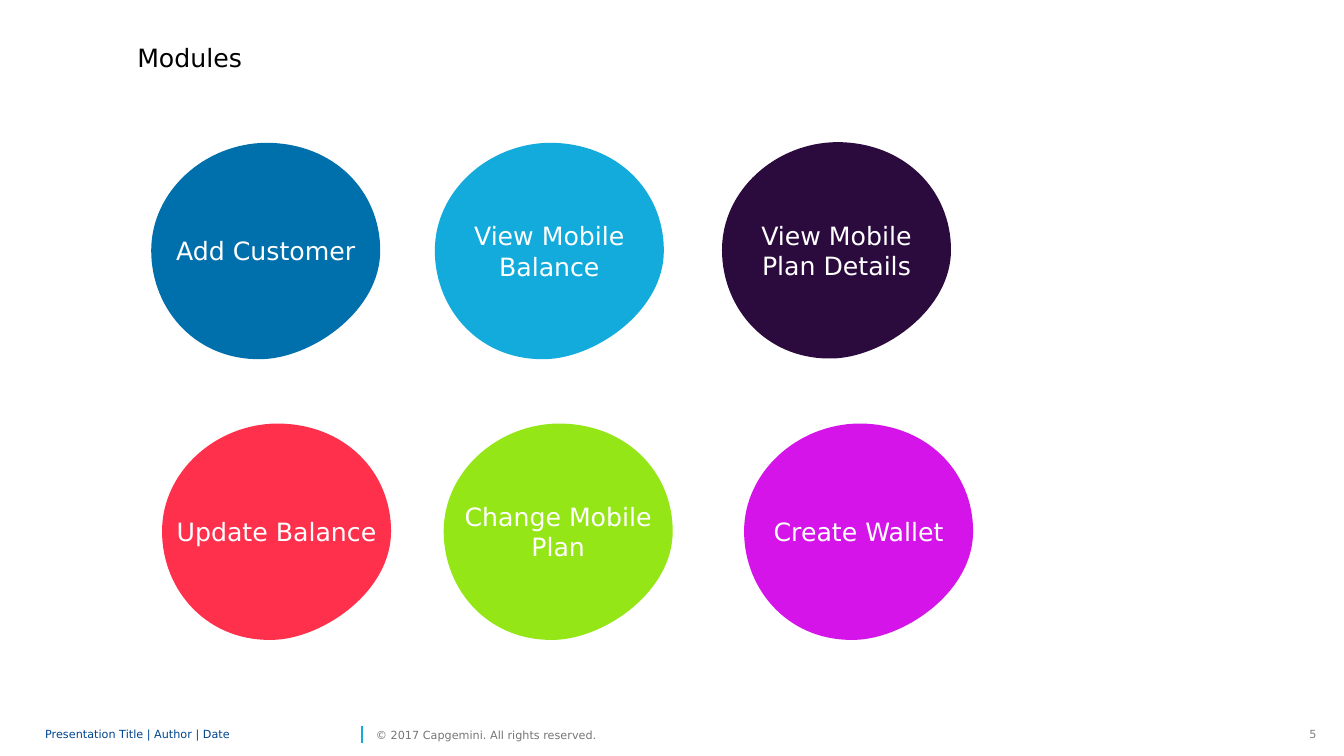
from pptx import Presentation
from pptx.dml.color import RGBColor
from pptx.enum import shapes, text
from pptx.oxml.ns import qn
from pptx.util import Pt
from lxml import etree

FONT = "DejaVu Sans"
WHITE = RGBColor(0xFF, 0xFF, 0xFF)
BLACK = RGBColor(0x00, 0x00, 0x00)
GRAY = RGBColor(0x80, 0x80, 0x80)
DARK_GRAY = RGBColor(0x76, 0x76, 0x76)
NAVY = RGBColor(0x00, 0x45, 0x8D)
BLUE = RGBColor(0x00, 0x70, 0xAD)
SKY = RGBColor(0x12, 0xAB, 0xDB)
PLUM = RGBColor(0x2B, 0x0A, 0x3D)
RED = RGBColor(0xFF, 0x30, 0x4C)
GREEN = RGBColor(0x95, 0xE6, 0x16)
MAGENTA = RGBColor(0xD4, 0x14, 0xE8)

TITLE = "Modules"
FOOTER = "Presentation Title | Author | Date"
COPYRIGHT = "© 2017 Capgemini. All rights reserved."
SLIDE_NUMBER = "5"

# label, colour, left, top
MODULES = [
    ("Change Mobile Plan", GREEN, 316.9, 302.5),
    ("Update Balance", RED, 115.75, 302.5),
    ("View Mobile Balance", SKY, 310.6, 102),
    ("Add Customer", BLUE, 108, 102),
    ("View Mobile Plan Details", PLUM, 515.7, 101.5),
    ("Create Wallet", MAGENTA, 531.5, 302.5),
]

# Blob outline: start point, then two control points and an end point per curve
BLOB_START = (0, 77)
BLOB_CURVES = [
    ((0, 34.5), (38.25, 0.5), (82, 0)),
    ((130.5, 0), (163.6, 34.5), (163.6, 77)),
    ((163.6, 119.5), (116.75, 152), (82, 154.4)),
    ((33, 157.3), (0, 119.5), (0, 77)),
]


def write_text(shape, content, size=8, color=BLACK, align=text.PP_ALIGN.LEFT,
               anchor=text.MSO_ANCHOR.MIDDLE, wrap=True, inset=None, spacing=None):
    frame = shape.text_frame
    frame.word_wrap = wrap
    frame.vertical_anchor = anchor
    if inset is not None:
        frame.margin_left = frame.margin_right = Pt(inset)
        frame.margin_top = frame.margin_bottom = Pt(inset)
    paragraph = frame.paragraphs[0]
    paragraph.alignment = align
    if spacing:
        paragraph.line_spacing = spacing
    run = paragraph.add_run()
    run.text = content
    run.font.name = FONT
    run.font.size = Pt(size)
    run.font.color.rgb = color


def add_text(slide, box, content, **text_format):
    write_text(slide.shapes.add_textbox(*map(Pt, box)), content, **text_format)


def bend_sides(shape):
    """Turn the straight sides of a blob into its Bezier curves."""
    sides = list(shape.element.iter(qn("a:lnTo")))
    for side, (first, second, _) in zip(sides, BLOB_CURVES):
        side.tag = qn("a:cubicBezTo")
        for position, (x, y) in enumerate((first, second)):
            control = etree.Element(qn("a:pt"), x=str(Pt(x)), y=str(Pt(y)))
            side.insert(position, control)


def add_module(slide, label, color, left, top):
    builder = slide.shapes.build_freeform(Pt(BLOB_START[0]), Pt(BLOB_START[1]))
    corners = [(Pt(x), Pt(y)) for _, _, (x, y) in BLOB_CURVES]
    builder.add_line_segments(corners, close=True)
    shape = builder.convert_to_shape(Pt(left), Pt(top))
    bend_sides(shape)
    shape.shadow.inherit = False
    shape.fill.solid()
    shape.fill.fore_color.rgb = color
    shape.line.fill.background()
    write_text(shape, label, size=18, color=WHITE, align=text.PP_ALIGN.CENTER)


def add_footer(slide):
    add_text(slide, (928, 516.25, 19.5, 17.25), SLIDE_NUMBER, color=GRAY,
             align=text.PP_ALIGN.RIGHT, anchor=text.MSO_ANCHOR.TOP, wrap=False)
    divider = slide.shapes.add_connector(
        shapes.MSO_CONNECTOR.STRAIGHT, Pt(258.5), Pt(530.5), Pt(258.5), Pt(518.5))
    divider.line.color.rgb = SKY
    divider.line.width = Pt(1)
    properties = divider.element.find(qn("p:spPr"))
    etree.SubElement(properties, qn("a:effectLst"))
    add_text(slide, (32.25, 516.25, 222.5, 17.25), FOOTER, color=NAVY,
             inset=0, spacing=0.85)
    add_text(slide, (268.5, 516.25, 175, 17.25), COPYRIGHT, color=DARK_GRAY,
             inset=0, wrap=False)


def main():
    presentation = Presentation()
    presentation.slide_width = Pt(960)
    presentation.slide_height = Pt(540)
    slide = presentation.slides.add_slide(presentation.slide_layouts[6])
    add_footer(slide)
    add_text(slide, (91, 26.75, 451.5, 29), TITLE, size=18,
             anchor=text.MSO_ANCHOR.TOP)
    for module in MODULES:
        add_module(slide, *module)
    presentation.save("out.pptx")


if __name__ == "__main__":
    main()
